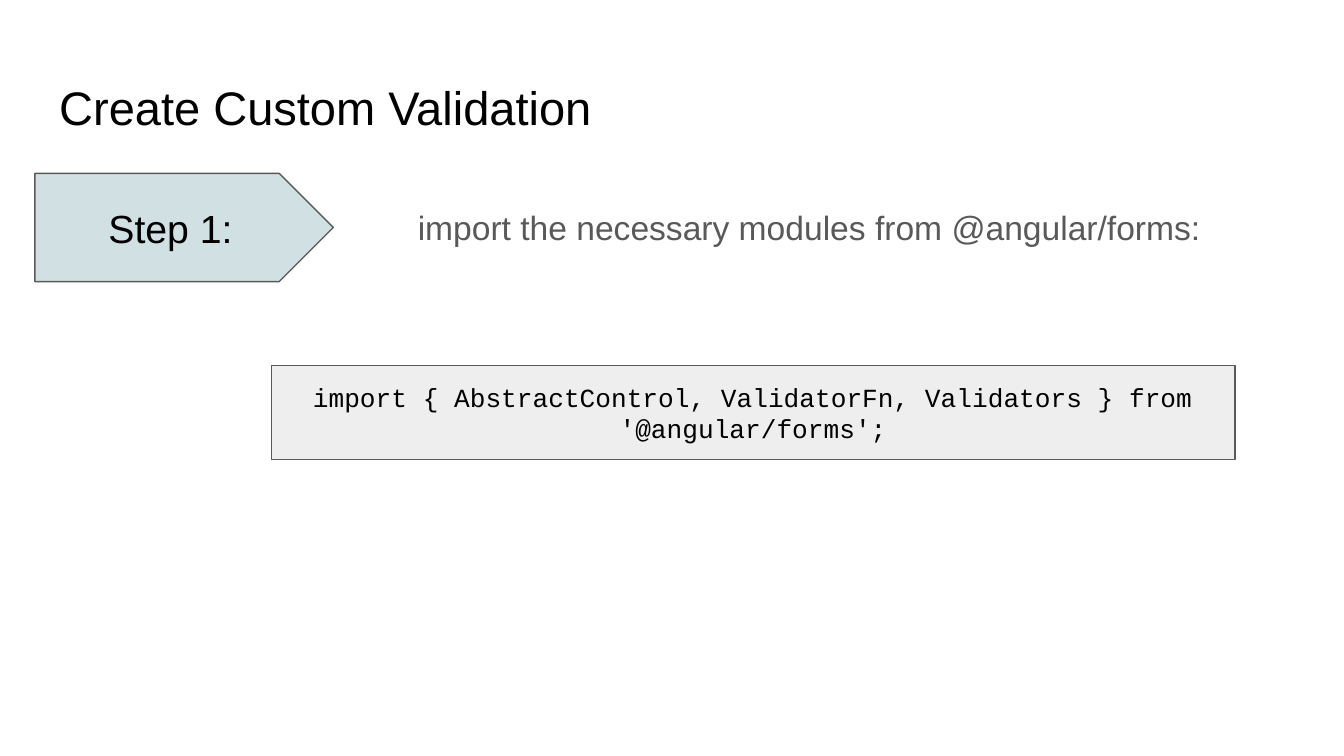
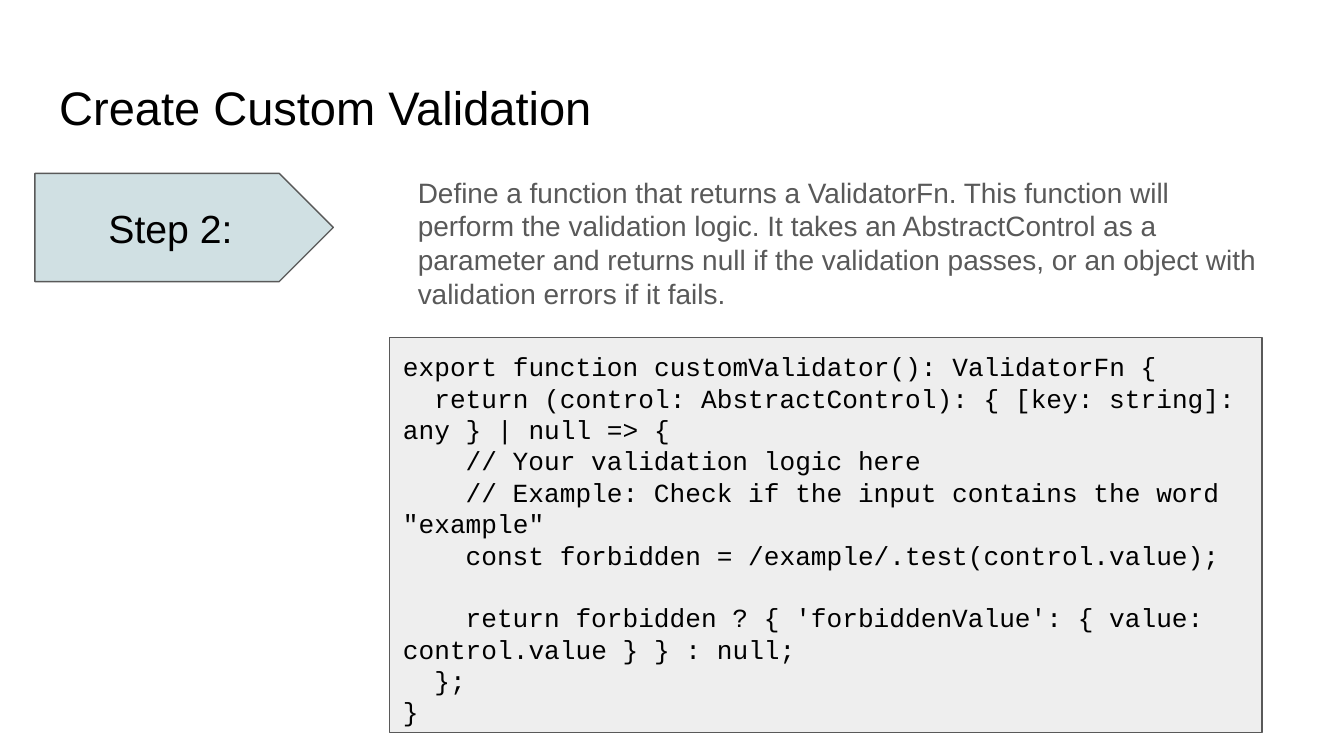
from pptx import Presentation
from pptx import util as u
from pptx.dml.color import RGBColor
from pptx.enum import shapes, text

# Shared scale and style
PX = 4572  # 200 px to the inch
W, H = 2000, 1125
INSET = 20
COLORS = {"ink": "000000", "grey": "595959", "step": "D0E0E3", "code": "EEEEEE"}
SANS, MONO = "Arial", "Courier New"
CODE_SIZE = 14
CODE_INDENT = u.Pt(CODE_SIZE * 1.2)  # two characters
CODE_LINE = u.Pt(CODE_SIZE * 1.2)

TITLE_BOX = (68, 97, 1864, 125)
STEP_BOX = (52, 258, 444, 161)
TITLE = "Create Custom Validation"

IMPORT_CODE = [
    (0, "import { AbstractControl, ValidatorFn, Validators } from '@angular/forms';"),
]
# (indent level, line); None is a one-line gap
VALIDATOR_CODE = [
    (0, "export function customValidator(): ValidatorFn {"),
    (1, "return (control: AbstractControl): { [key: string]: any } | null => {"),
    (2, "// Your validation logic here"),
    (2, '// Example: Check if the input contains the word "example"'),
    (2, "const forbidden = /example/.test(control.value);"),
    None,
    (2, "return forbidden ? { 'forbiddenValue': { value: control.value } } : null;"),
    (1, "};"),
    (0, "}"),
]


def rgb(name):
    return RGBColor.from_string(COLORS[name])


def emu(box):
    return [v * PX for v in box]


def setup_frame(tf, anchor=text.MSO_ANCHOR.TOP):
    tf.word_wrap = True
    tf.auto_size = text.MSO_AUTO_SIZE.NONE
    tf.vertical_anchor = anchor
    tf.margin_left = tf.margin_right = tf.margin_top = tf.margin_bottom = INSET * PX


def write(p, content, size=CODE_SIZE, font=SANS, color="ink",
          align=text.PP_ALIGN.LEFT, indent=0, before=0):
    p.alignment = align
    p.space_before = before
    if indent:
        pPr = p._p.get_or_add_pPr()
        pPr.set("marL", "0")
        pPr.set("indent", str(int(indent)))
    r = p.add_run()
    r.text = content
    r.font.size, r.font.name = u.Pt(size), font
    r.font.color.rgb = rgb(color)


def add_panel(s, kind, box, fill, anchor):
    sp = s.shapes.add_shape(kind, *emu(box))
    sp.shadow.inherit = False
    sp.fill.solid()
    sp.fill.fore_color.rgb = rgb(fill)
    sp.line.color.rgb = rgb("grey")
    sp.line.width = u.Pt(0.75)
    setup_frame(sp.text_frame, anchor)
    return sp


def add_title(s, box):
    sp = s.shapes.title
    sp.left, sp.top, sp.width, sp.height = emu(box)
    setup_frame(sp.text_frame)
    write(sp.text_frame.paragraphs[0], TITLE, size=25.2)


def add_step(s, box, number):
    sp = add_panel(s, shapes.MSO_SHAPE.PENTAGON, box, "step", text.MSO_ANCHOR.MIDDLE)
    sp.adjustments[0] = 0.5
    write(sp.text_frame.paragraphs[0], f"Step {number}:", size=21,
          align=text.PP_ALIGN.CENTER)


def add_description(s, box, content, size):
    tf = s.shapes.add_textbox(*emu(box)).text_frame
    setup_frame(tf)
    tf.auto_size = text.MSO_AUTO_SIZE.SHAPE_TO_FIT_TEXT
    write(tf.paragraphs[0], content, size=size, color="grey")


def add_code(s, box, lines, centered=False):
    anchor = text.MSO_ANCHOR.MIDDLE if centered else text.MSO_ANCHOR.TOP
    align = text.PP_ALIGN.CENTER if centered else text.PP_ALIGN.LEFT
    tf = add_panel(s, shapes.MSO_SHAPE.RECTANGLE, box, "code", anchor).text_frame
    p, gap = tf.paragraphs[0], 0
    for i, line in enumerate(lines):
        if line is None:
            gap = CODE_LINE
            continue
        level, content = line
        p = tf.add_paragraph() if i else p
        write(p, content, font=MONO, align=align, indent=level * CODE_INDENT, before=gap)
        gap = 0


def add_step_slide(prs, number, description, size, description_box,
                   code, code_box, centered=False):
    s = prs.slides.add_slide(prs.slide_layouts[5])
    add_title(s, TITLE_BOX)
    add_step(s, STEP_BOX, number)
    add_description(s, description_box, description, size)
    add_code(s, code_box, code, centered)


def main():
    prs = Presentation()
    prs.slide_width, prs.slide_height = W * PX, H * PX
    add_step_slide(
        prs, 1, "import the necessary modules from @angular/forms:", 18,
        (602, 288, 1298, 100), IMPORT_CODE, (404, 544, 1434, 140), centered=True)
    add_step_slide(
        prs, 2,
        "Define a function that returns a ValidatorFn. This function will perform "
        "the validation logic. It takes an AbstractControl as a parameter and returns "
        "null if the validation passes, or an object with validation errors if it fails.",
        15, (602, 241, 1298, 242), VALIDATOR_CODE, (580, 502, 1298, 588))
    prs.save("out.pptx")


if __name__ == "__main__":
    main()
